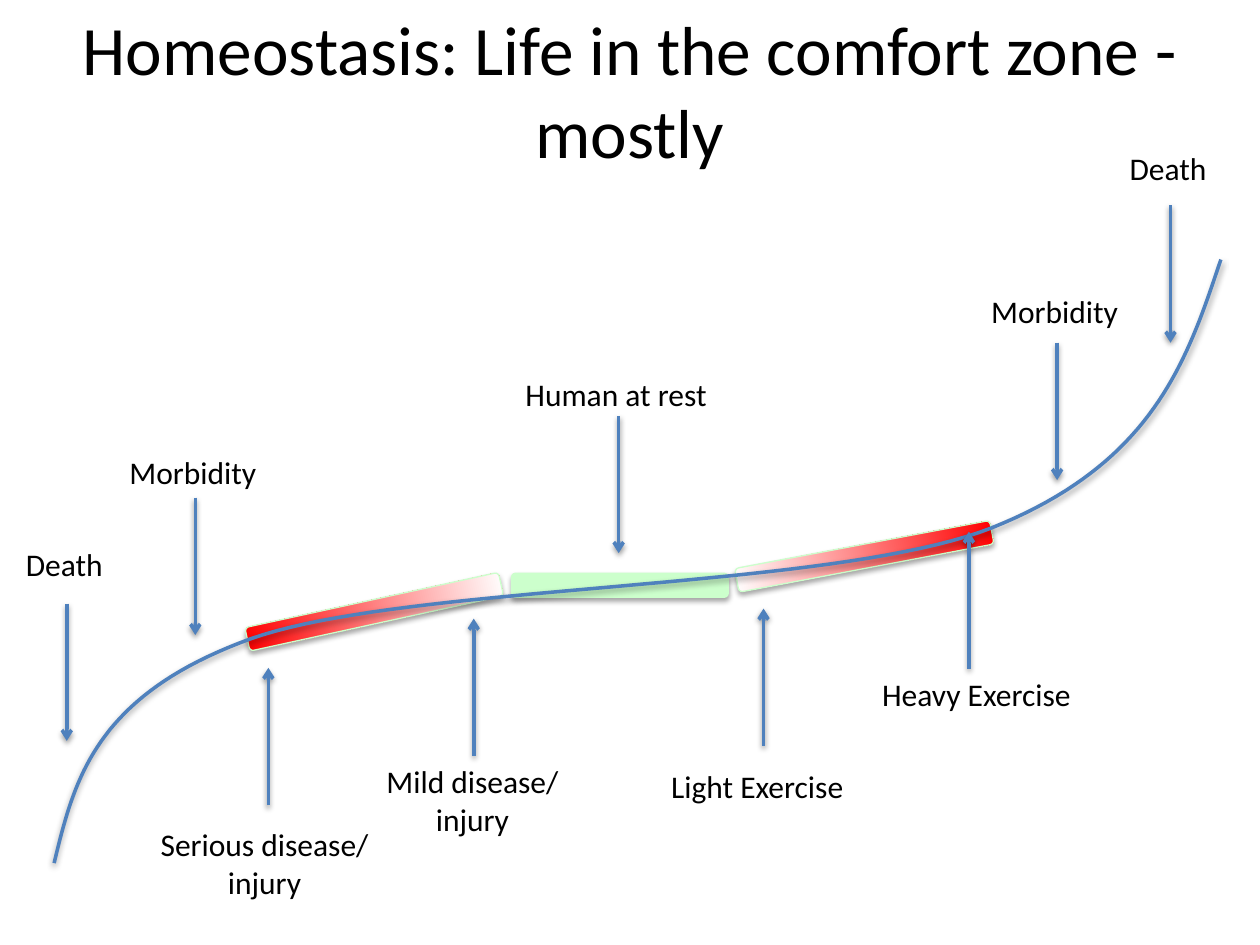
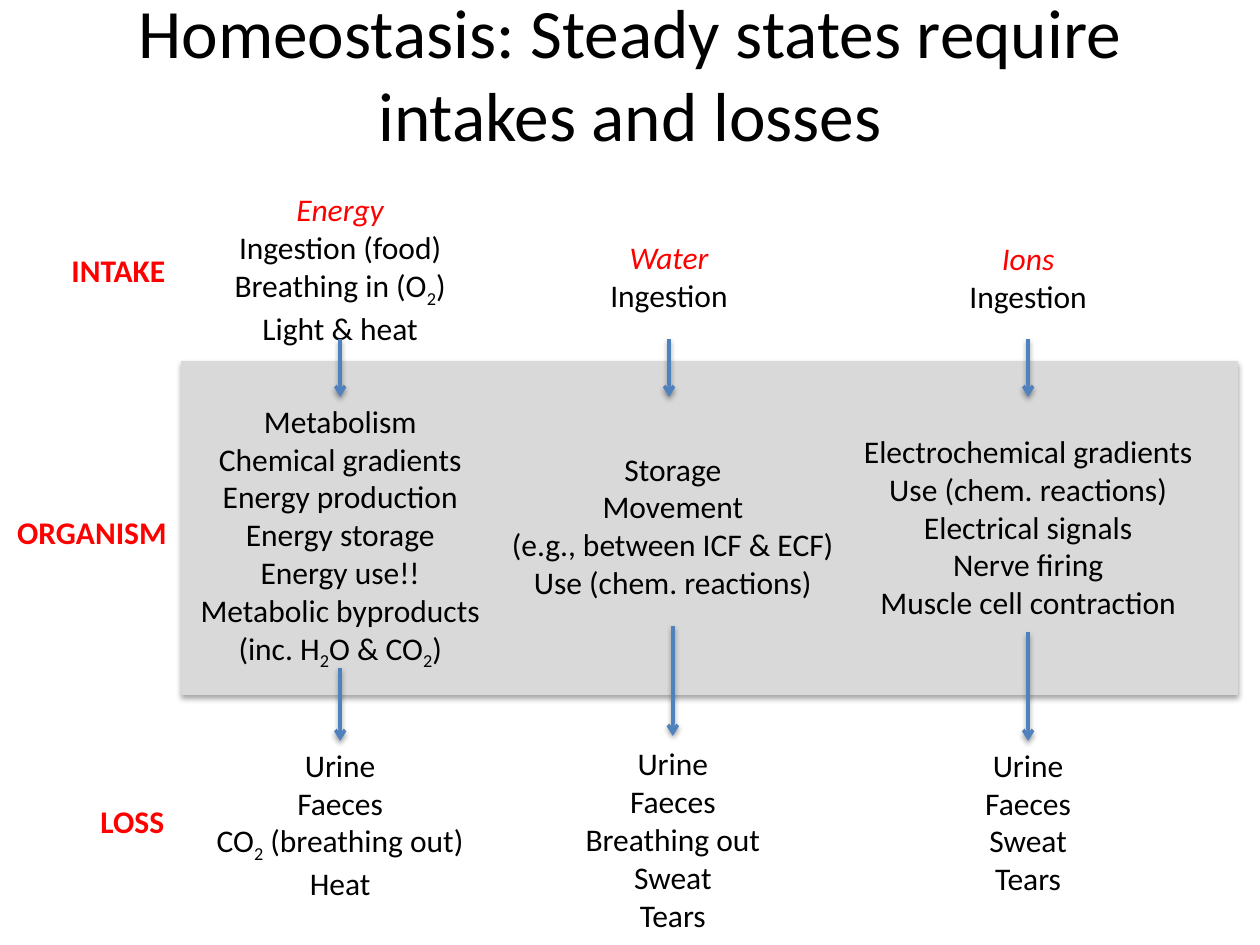
from lxml.etree import SubElement
from pptx import Presentation
from pptx.dml.color import RGBColor
from pptx.enum.shapes import MSO_CONNECTOR, MSO_SHAPE as SHAPE
from pptx.enum.text import MSO_ANCHOR as ANCHOR, MSO_AUTO_SIZE as AUTO, PP_ALIGN as ALIGN
from pptx.oxml.ns import qn
from pptx.util import Inches, Pt

FONT = "Calibri"
COLORS = {"text": "000000", "red": "FF0000", "white": "FFFFFF",
          "blue": "4F81BD", "green": "CCFFCC", "grey": "D9D9D9"}

# Slide 1: comfort zone
ZONE_TITLE = "Homeostasis: Life in the comfort zone - mostly"
# left, top, width, rotation, fill colours from left to right
ZONES = [
    (1.94, 4.76, 2.06, 347.7, ("red", "white")),
    (5.83, 4.32, 2.06, 349.3, ("white", "red")),
    (4.06, 4.55, 1.72, 0, ("green",)),
]
ZONE_HEIGHT = 0.19
CURVE_START = (0.43, 6.85)
CURVE = [  # control, control, end
    ((0.59, 6.19), (0.75, 5.52), (1.99, 5.07)),
    ((3.23, 4.63), (6.59, 4.69), (7.87, 4.19)),
    ((9.15, 3.68), (9.42, 2.87), (9.69, 2.06)),
]
# lines, label centre, label top, label width, arrow x, arrow tip, side of arrow tail
STATES = [
    (["Death"], 0.51, 4.28, 0.82, 0.53, 5.88, "above"),
    (["Morbidity"], 1.53, 3.55, 1.22, 1.55, 5.04, "above"),
    (["Serious disease/", "injury"], 2.1, 6.5, 1.87, 2.13, 5.3, "below"),
    (["Mild disease/", "injury"], 3.75, 6.0, 1.58, 3.76, 4.91, "below"),
    (["Human at rest"], 4.89, 2.93, 1.66, 4.91, 4.39, "above"),
    (["Light Exercise"], 6.01, 6.04, 1.59, 6.06, 4.83, "below"),
    (["Heavy Exercise"], 7.75, 5.31, 1.73, 7.69, 4.22, "below"),
    (["Morbidity"], 8.37, 2.27, 1.22, 8.39, 3.81, "above"),
    (["Death"], 9.27, 1.13, 0.82, 9.29, 2.72, "above"),
]
STATE_ARROW = 1.09

# Slide 2: intakes and losses ("_" lowers the next character)
FLOW_TITLE = "Homeostasis: Steady states require intakes and losses"
ORGANISM_BAND = (1.44, 2.87, 8.38, 2.64)
STAGES = [("INTAKE", 0.94, 1.94, 0.97), ("ORGANISM", 0.73, 4.02, 1.4),
          ("LOSS", 1.05, 6.32, 0.72)]
# blocks: centre, top, width, lines; arrows: x, start, end
FLOWS = [
    {"intake": (2.7, 1.46, 1.91, ["Energy", "Ingestion (food)", "Breathing in (O_2)",
                                  "Light & heat"]),
     "organism": (2.7, 3.14, 2.45, ["Metabolism", "Chemical gradients", "Energy production",
                                    "Energy storage", "Energy use!!",
                                    "Metabolic byproducts", "(inc. H_2O & CO_2)"]),
     "loss": (2.7, 5.87, 2.2, ["Urine", "Faeces", "CO_2 (breathing out)", "Heat"]),
     "arrows": [(2.7, 2.69, 3.15), (2.7, 5.3, 5.88)]},
    {"intake": (5.31, 1.84, 1.16, ["Water", "Ingestion"]),
     "organism": (5.34, 3.52, 2.79, ["Storage", "Movement", "(e.g., between ICF & ECF)",
                                     "Use (chem. reactions)"]),
     "loss": (5.34, 5.86, 1.61, ["Urine", "Faeces", "Breathing out", "Sweat", "Tears"]),
     "arrows": [(5.31, 2.69, 3.15), (5.34, 4.97, 5.84)]},
    {"intake": (8.16, 1.85, 1.16, ["Ions", "Ingestion"]),
     "organism": (8.16, 3.38, 2.85, ["Electrochemical gradients", "Use (chem. reactions)",
                                     "Electrical signals", "Nerve firing",
                                     "Muscle cell contraction"]),
     "loss": (8.16, 5.87, 0.9, ["Urine", "Faeces", "Sweat", "Tears"]),
     "arrows": [(8.16, 2.69, 3.15), (8.16, 5.02, 5.88)]},
]


# Shared helpers
def rgb(name):
    return RGBColor.from_string(COLORS[name])


def add_shadow(sp, distance, opacity):
    """Soft shadow straight below; call after fill and line are set."""
    effects = SubElement(sp._element.spPr, qn("a:effectLst"))
    shadow = SubElement(effects, qn("a:outerShdw"), blurRad=str(Pt(3.1)),
                        dist=str(Pt(distance)), dir="5400000", rotWithShape="0")
    color = SubElement(shadow, qn("a:srgbClr"), val="000000")
    SubElement(color, qn("a:alpha"), val=str(opacity * 1000))


def style_line(sp):
    sp.line.color.rgb = rgb("blue")
    sp.line.width = Pt(2)


def add_block(s, kind, box, colors, edge, rotation=0):
    sp = s.shapes.add_shape(kind, *map(Inches, box))
    sp.rotation = rotation
    if len(colors) == 1:
        sp.fill.solid()
        sp.fill.fore_color.rgb = rgb(colors[0])
    else:
        sp.fill.gradient()
        sp.fill.gradient_angle = 0
        for stop, color in zip(sp.fill.gradient_stops, colors):
            stop.color.rgb = rgb(color)
    sp.line.color.rgb = rgb(edge)
    sp.line.width = Pt(0.75)
    add_shadow(sp, 1.8, 35)


def add_arrow(s, x, start, end):
    sp = s.shapes.add_connector(MSO_CONNECTOR.STRAIGHT, *map(Inches, (x, start, x, end)))
    style_line(sp)
    SubElement(sp.line._get_or_add_ln(), qn("a:tailEnd"), type="arrow")
    add_shadow(sp, 1.6, 38)


def format_run(r, size, color="text", bold=False, italic=False):
    r.font.name, r.font.size = FONT, Pt(size)
    r.font.bold, r.font.italic = bold, italic
    r.font.color.rgb = rgb(color)


def add_label(s, lines, center, top, width, color="text", bold=False, heading=False):
    height = 0.1 + 0.3 * len(lines)
    box = (center - width / 2, top, width, height)
    tf = s.shapes.add_textbox(*map(Inches, box)).text_frame
    tf.word_wrap = False
    tf.auto_size = AUTO.SHAPE_TO_FIT_TEXT
    for i, line in enumerate(lines):
        p = tf.paragraphs[0] if i == 0 else tf.add_paragraph()
        p.alignment = ALIGN.CENTER
        is_heading = heading and i == 0
        first, *rest = line.split("_")
        pieces = [(first, False)]
        for part in rest:
            pieces += [(part[0], True), (part[1:], False)]
        for text, lowered in pieces:
            r = p.add_run()
            r.text = text
            format_run(r, 18, "red" if is_heading else color, bold, is_heading)
            if lowered:
                r._r.get_or_add_rPr().set("baseline", "-25000")


def add_title(s, text, top, height):
    tf = s.shapes.add_textbox(*map(Inches, (0.5, top, 9, height))).text_frame
    tf.word_wrap = True
    tf.vertical_anchor = ANCHOR.MIDDLE
    tf.text = text
    p = tf.paragraphs[0]
    p.alignment = ALIGN.CENTER
    format_run(p.runs[0], 39.6)


def curve_points(steps=40):
    start = CURVE_START
    for c1, c2, end in CURVE:
        for i in range(1, steps + 1):
            t = i / steps
            u = 1 - t
            yield tuple(Inches(u**3 * a + 3 * u * u * t * b + 3 * u * t * t * c + t**3 * d)
                        for a, b, c, d in zip(start, c1, c2, end))
        start = end


# Slides
def build_zone_slide(s):
    for left, top, width, rotation, colors in ZONES:
        add_block(s, SHAPE.ROUNDED_RECTANGLE, (left, top, width, ZONE_HEIGHT),
                  colors, "green", rotation)
    add_title(s, ZONE_TITLE, 0.08, 1.25)
    builder = s.shapes.build_freeform(*map(Inches, CURVE_START))
    builder.add_line_segments(list(curve_points()), close=False)
    sp = builder.convert_to_shape()
    sp.fill.background()
    style_line(sp)
    add_shadow(sp, 1.6, 38)
    for lines, center, top, width, x, tip, side in STATES:
        add_arrow(s, x, tip + (STATE_ARROW if side == "below" else -STATE_ARROW), tip)
        add_label(s, lines, center, top, width)


def build_flow_slide(s):
    add_title(s, FLOW_TITLE, 0.23, 0.69)
    add_block(s, SHAPE.RECTANGLE, ORGANISM_BAND, ("grey",), "grey")
    for name, center, top, width in STAGES:
        add_label(s, [name], center, top, width, "red", bold=True)
    for flow in FLOWS:
        for stage in ("intake", "organism", "loss"):
            center, top, width, lines = flow[stage]
            add_label(s, lines, center, top, width, heading=stage == "intake")
        for arrow in flow["arrows"]:
            add_arrow(s, *arrow)


def main():
    prs = Presentation()
    prs.slide_width, prs.slide_height = Inches(10), Inches(7.5)
    for build in (build_zone_slide, build_flow_slide):
        build(prs.slides.add_slide(prs.slide_layouts[6]))
    prs.save("out.pptx")


if __name__ == "__main__":
    main()
